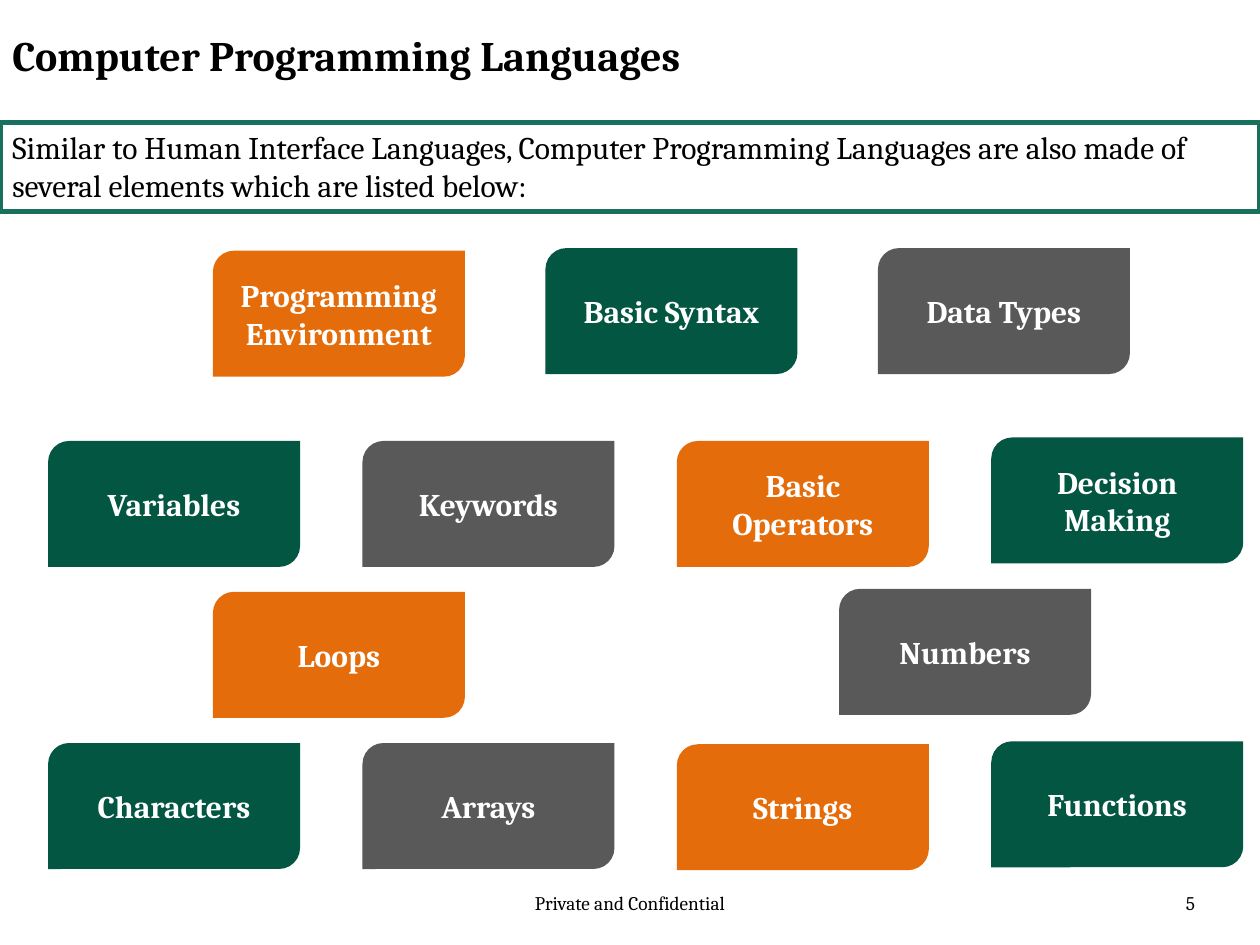
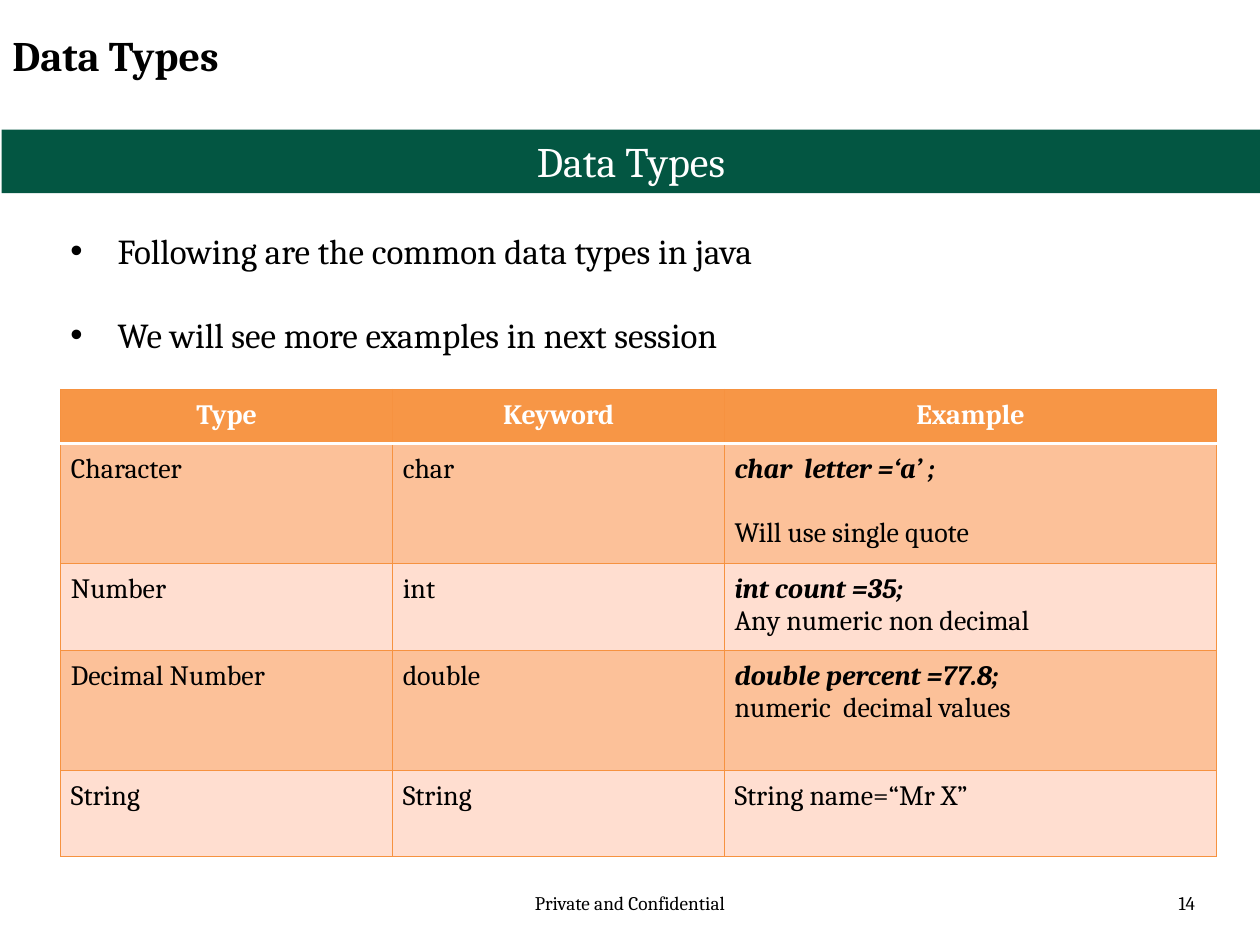
"""Build two slides on programming languages and data types."""
import pptx
import pptx.util
import pptx.dml.color
import pptx.enum.shapes
import pptx.enum.text
import pptx.oxml
import pptx.oxml.ns
import lxml.etree

Pt = pptx.util.Pt
RGBColor = pptx.dml.color.RGBColor
ALIGN = pptx.enum.text.PP_ALIGN
ANCHOR = pptx.enum.text.MSO_ANCHOR
SHAPE = pptx.enum.shapes.MSO_SHAPE

BLACK = RGBColor(0, 0, 0)
WHITE = RGBColor(0xFF, 0xFF, 0xFF)
GREEN = RGBColor(0x03, 0x56, 0x42)
TEAL = RGBColor(0x19, 0x70, 0x5D)
GRAY = RGBColor(0x59, 0x59, 0x59)
ORANGE = RGBColor(0xE4, 0x6C, 0x0A)
HEAD = RGBColor(0xF7, 0x96, 0x46)
DARK = RGBColor(0xFC, 0xC1, 0x99)
PALE = RGBColor(0xFF, 0xDE, 0xD0)
EDGE = RGBColor(0xF6, 0x92, 0x40)

FONT = "Cambria"
WIDE, HIGH = 720, 540
TITLE = {"size": Pt(24), "bold": True}
LEAD = {"size": Pt(18)}
TILE = {"size": Pt(18), "bold": True}
BAND = {"size": Pt(24)}
POINT = {"size": Pt(20)}
FOOT = {"size": Pt(11)}
CELL = {"size": Pt(16)}
TOP = {"size": Pt(16), "bold": True}
CODE = {"size": Pt(16), "bold": True, "italic": True}

TILES = [
    (121.7, 190, [
        ("Programming Environment", ORANGE, 143.3),
        ("Basic Syntax", GREEN, 141.8),
        ("Data Types", GRAY, 141.8)]),
    (27.5, 179.65, [
        ("Variables", GREEN, 252),
        ("Keywords", GRAY, 252),
        ("Basic Operators", ORANGE, 252),
        ("Decision Making", GREEN, 250)]),
    (121.7, 357.8, [
        ("Loops", ORANGE, 338.2),
        ("Numbers", GRAY, 336.5)]),
    (27.5, 179.65, [
        ("Characters", GREEN, 424.6),
        ("Arrays", GRAY, 424.6),
        ("Strings", ORANGE, 425.3),
        ("Functions", GREEN, 423.6)]),
]

TYPES = [
    ("Character", "char", ("char  letter =‘a’ ;", "Will use single quote")),
    ("Number", "int", ("int count =35;", "Any numeric non decimal")),
    ("Decimal Number", "double",
     ("double percent =77.8;", "numeric  decimal values")),
    ("String", "String", ("String name=“Mr X”",)),
]


def put(item, form):
    """Set each value of a format dict on an object."""
    for name, value in form.items():
        setattr(item, name, value)


def write(para, text, form, tone=BLACK, align=ALIGN.LEFT):
    """Fill one paragraph with a single styled run."""
    para.alignment = align
    run = para.add_run()
    run.text = text
    put(run.font, {"name": FONT, **form})
    run.font.color.rgb = tone


def frame(slide, box, **form):
    """Add a text box and return its text frame."""
    text = slide.shapes.add_textbox(*map(Pt, box)).text_frame
    put(text, {"word_wrap": True, **form})
    return text


def block(slide, kind, box, text, form, tone, fill=None, line=None,
          align=ALIGN.CENTER, anchor=ANCHOR.TOP):
    """Add a preset shape with its text."""
    shape = slide.shapes.add_shape(kind, *map(Pt, box))
    shape.shadow.inherit = False
    if fill is None:
        shape.fill.background()
    else:
        shape.fill.solid()
        shape.fill.fore_color.rgb = fill
    if line is None:
        shape.line.fill.background()
    else:
        shape.line.color.rgb = line
        shape.line.width = Pt(3)
    put(shape.text_frame, {"word_wrap": True, "vertical_anchor": anchor})
    write(shape.text_frame.paragraphs[0], text, form, tone, align)


def base(deck, title, width, number):
    """Start a slide with its title and footer."""
    slide = deck.slides.add_slide(deck.slide_layouts[6])
    head = frame(slide, (0, 9.4, width, 44), word_wrap=False,
                 vertical_anchor=ANCHOR.MIDDLE, margin_top=Pt(7.2),
                 margin_bottom=Pt(7.2))
    write(head.paragraphs[0], title, TITLE)
    note = frame(slide, (246, 505.5, 228, 28.75))
    write(note.paragraphs[0], "Private and Confidential", FOOT,
          align=ALIGN.CENTER)
    page = frame(slide, (522, 505.5, 168, 28.75))
    write(page.paragraphs[0], str(number), FOOT, align=ALIGN.RIGHT)
    return slide


def tiles(slide, box):
    """Lay out rows of tiles from the corner of the box."""
    left, top, width, height = box
    for start, step, row in TILES:
        for i, (text, fill, down) in enumerate(row):
            spot = (left + start + i * step, top + down, width, height)
            block(slide, SHAPE.ROUND_2_DIAG_RECTANGLE, spot, text, TILE,
                  WHITE, fill, anchor=ANCHOR.MIDDLE)


def points(slide, box, lines):
    """Add a bulleted list."""
    text = frame(slide, box)
    for i, line in enumerate(lines):
        para = text.add_paragraph() if i else text.paragraphs[0]
        write(para, line, POINT, align=ALIGN.JUSTIFY)
        para.space_before = Pt(24 if i else 0)
        props = para._p.get_or_add_pPr()
        props.set("marL", str(Pt(27)))
        props.set("indent", str(-Pt(27)))
        for tag, key, value in (("buFont", "typeface", "Arial"),
                                ("buChar", "char", "•")):
            mark = lxml.etree.SubElement(props, pptx.oxml.ns.qn("a:" + tag))
            mark.set(key, value)


def border(cell, side, tone, width):
    """Draw one border of a table cell."""
    cell._tc.get_or_add_tcPr().append(pptx.oxml.parse_xml(
        f'<a:ln{side} {pptx.oxml.ns.nsdecls("a")} w="{Pt(width)}">'
        f'<a:solidFill><a:srgbClr val="{tone}"/></a:solidFill></a:ln{side}>'))


def paint(cell, row, fill):
    """Give a cell its borders, margins and fill."""
    for side in "LRTB":
        white = (row, side) in ((0, "B"), (1, "T"))
        border(cell, side, WHITE if white else EDGE, 2 if white else 0.75)
    put(cell, {"margin_" + side: Pt(5.76)
               for side in ("left", "right", "top", "bottom")})
    cell.fill.solid()
    cell.fill.fore_color.rgb = fill


def grid(slide, box):
    """Add the table of data types."""
    table = slide.shapes.add_table(5, 3, *map(Pt, box)).table
    for col, width in zip(table.columns, (189.6, 189.6, 281.2)):
        col.width = Pt(width)
    for row, height in zip(table.rows, (30.3, 68.6, 49.1, 68.6, 49.1)):
        row.height = Pt(height)
    for j, name in enumerate(("Type", "Keyword", "Example")):
        cell = table.cell(0, j)
        paint(cell, 0, HEAD)
        write(cell.text_frame.paragraphs[0], name, TOP, WHITE, ALIGN.CENTER)
    for i, (kind, word, lines) in enumerate(TYPES, 1):
        for j, parts in enumerate(((kind,), (word,), lines)):
            cell = table.cell(i, j)
            paint(cell, i, DARK if i % 2 else PALE)
            text = cell.text_frame
            for k, part in enumerate(parts):
                para = text.add_paragraph() if k else text.paragraphs[0]
                code = len(parts) > 1 and k == 0
                write(para, part, CODE if code else CELL)
                if k and i == 1:
                    para.space_before = Pt(18.5)


def main():
    """Build and save the deck."""
    deck = pptx.Presentation()
    put(deck, {"slide_width": Pt(WIDE), "slide_height": Pt(HIGH)})

    slide = base(deck, "Computer Programming Languages", 412.5, 5)
    block(slide, SHAPE.RECTANGLE, (0, 69.8, WIDE, 51),
          "Similar to Human Interface Languages, Computer Programming "
          "Languages are also made of several elements which are listed "
          "below:", LEAD, BLACK, line=TEAL, align=ALIGN.LEFT)
    tiles(slide, (0, 0, 144, 72))

    slide = base(deck, "Data Types", 138.25, 14)
    block(slide, SHAPE.RECTANGLE, (1, 74, WIDE - 1, 36.3), "Data Types",
          BAND, WHITE, GREEN)
    grid(slide, (34.8, 222.5, 660.4, 265.7))
    points(slide, (33.1, 127.5, 663, 80),
           ("Following are the common data types in java",
            "We will see more examples in next session"))
    deck.save("out.pptx")


if __name__ == "__main__":
    main()
